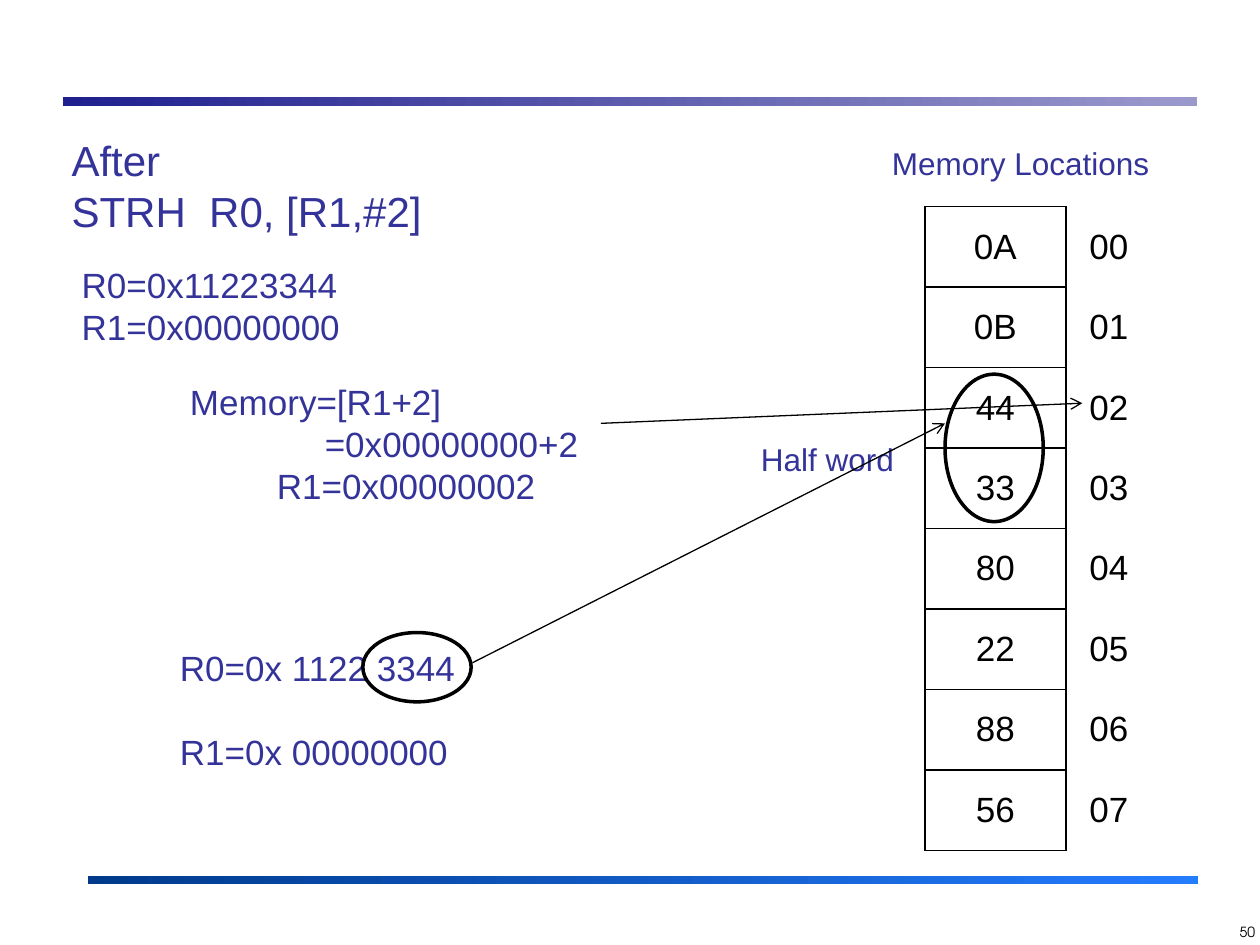
from dataclasses import dataclass

from lxml import etree
from pptx import Presentation
from pptx import util as u
from pptx.dml.color import RGBColor
from pptx.enum import shapes, text
from pptx.oxml import ns

BLACK = RGBColor(0x00, 0x00, 0x00)
INDIGO = RGBColor(0x33, 0x33, 0x99)
NAVY = RGBColor(0x1F, 0x1F, 0x8F)
LAVENDER = RGBColor(0x9B, 0x99, 0xCC)
DEEP_BLUE = RGBColor(0x00, 0x3A, 0x8C)
BRIGHT_BLUE = RGBColor(0x24, 0x7C, 0xFF)

ALIGN = text.PP_ALIGN


@dataclass
class Line:
    words: str
    indent: float = 0
    space_before: float = 0


@dataclass
class Label:
    box: tuple[float, float, float, float]
    lines: list[Line]
    size: float = 20
    align: ALIGN = ALIGN.LEFT
    font: str = "Arial"
    color: RGBColor = INDIGO


@dataclass
class Bar:
    box: tuple[float, float, float, float]
    start: RGBColor
    end: RGBColor


@dataclass
class Arrow:
    start: tuple[float, float]
    end: tuple[float, float]


BARS = [
    Bar((0.5, 0.77, 9, 0.07), NAVY, LAVENDER),
    Bar((0.7, 6.95, 8.81, 0.07), DEEP_BLUE, BRIGHT_BLUE),
]
LABELS = [
    Label((9.62, 7.28, 0.44, 0.31), [Line("50")], 8, ALIGN.RIGHT,
          "TeX Gyre Adventor", BLACK),
    Label((0.47, 1.02, 6.64, 0.91), [Line("After"), Line("STRH  R0, [R1,#2]")], 24),
    Label((5.86, 1.09, 3.36, 0.4), [Line("Memory Locations")], 18, ALIGN.RIGHT),
    Label((0.55, 2.04, 2.27, 0.77), [Line("R0=0x11223344"), Line("R1=0x00000000")]),
    Label((1.41, 2.97, 3.36, 1.11), [
        Line("Memory=[R1+2]"),
        Line("=0x00000000+2", indent=1.07),
        Line("R1=0x00000002", indent=0.69),
    ]),
    Label((1.33, 5.08, 4.53, 1.11), [
        Line("R0=0x 1122 3344"),
        Line("R1=0x 00000000", space_before=24),
    ]),
    Label((5.94, 3.44, 1.41, 0.4), [Line("Half word")], 18),
]
MEMORY = ["0A", "0B", "44", "33", "80", "22", "88", "56"]
ELLIPSES = [(7.5, 2.97, 0.78, 1.17), (2.88, 5.02, 0.86, 0.55)]
ARROWS = [Arrow((4.77, 3.36), (8.59, 3.2)), Arrow((3.75, 5.26), (7.5, 3.36))]


def inches(values) -> list[u.Length]:
    return [u.Inches(v) for v in values]


def add_run(p, words: str, size: float, font: str, color: RGBColor) -> None:
    r = p.add_run()
    r.text = words
    r.font.size = u.Pt(size)
    r.font.name = font
    r.font.color.rgb = color


def add_bar(s, bar: Bar) -> None:
    sp = s.shapes.add_shape(shapes.MSO_SHAPE.RECTANGLE, *inches(bar.box))
    sp.shadow.inherit = False
    sp.line.fill.background()
    sp.fill.gradient()
    sp.fill.gradient_angle = 0
    for stop, color in zip(sp.fill.gradient_stops, (bar.start, bar.end)):
        stop.color.rgb = color


def add_label(s, label: Label) -> None:
    tf = s.shapes.add_textbox(*inches(label.box)).text_frame
    tf.word_wrap = True
    for i, line in enumerate(label.lines):
        p = tf.add_paragraph() if i else tf.paragraphs[0]
        p.alignment = label.align
        if line.indent:
            p._p.get_or_add_pPr().set("marL", str(u.Inches(line.indent)))
        if line.space_before:
            p.space_before = u.Pt(line.space_before)
        add_run(p, line.words, label.size, label.font, label.color)


def set_borders(cell, visible: str) -> None:
    """Draw the sides named in visible (of L, R, T, B) and clear the others."""
    tc_pr = cell._tc.get_or_add_tcPr()
    for side in "LRTB":
        ln = etree.SubElement(tc_pr, ns.qn(f"a:ln{side}"), w=str(u.Pt(1)))
        if side in visible:
            fill = etree.SubElement(ln, ns.qn("a:solidFill"))
            etree.SubElement(fill, ns.qn("a:srgbClr"), val=str(BLACK))
        else:
            etree.SubElement(ln, ns.qn("a:noFill"))


def add_memory_table(s, values: list[str]) -> None:
    frame = s.shapes.add_table(len(values), 2, *inches((7.34, 1.64, 1.8, 5.11)))
    table = frame.table
    table.first_row = table.horz_banding = False
    for column, width in zip(table.columns, (1.12, 0.68)):
        column.width = u.Inches(width)
    for row, value in enumerate(values):
        for col, (words, sides) in enumerate([(value, "LRTB"), (f"{row:02}", "L")]):
            cell = table.cell(row, col)
            set_borders(cell, sides)
            cell.fill.background()
            cell.vertical_anchor = text.MSO_ANCHOR.MIDDLE
            p = cell.text_frame.paragraphs[0]
            p.alignment = ALIGN.CENTER
            add_run(p, words, 20, "Arial", BLACK)


def add_ellipse(s, box: tuple[float, float, float, float]) -> None:
    sp = s.shapes.add_shape(shapes.MSO_SHAPE.OVAL, *inches(box))
    sp.shadow.inherit = False
    sp.fill.background()
    sp.line.color.rgb = BLACK
    sp.line.width = u.Pt(2)


def add_arrow(s, arrow: Arrow) -> None:
    sp = s.shapes.add_connector(
        shapes.MSO_CONNECTOR.STRAIGHT, *inches(arrow.start + arrow.end))
    sp.line.color.rgb = BLACK
    sp.line.width = u.Pt(0.75)
    etree.SubElement(sp.line._get_or_add_ln(), ns.qn("a:tailEnd"), type="arrow")
    etree.SubElement(sp._element.spPr, ns.qn("a:effectLst"))


def main() -> None:
    prs = Presentation()
    prs.slide_width, prs.slide_height = inches((10, 7.5))
    s = prs.slides.add_slide(prs.slide_layouts[6])

    # Rules at the top and bottom
    for bar in BARS:
        add_bar(s, bar)

    # Memory cells with their addresses
    add_memory_table(s, MEMORY)

    # Register contents and captions
    for label in LABELS:
        add_label(s, label)

    # Highlighted half word and where it is stored
    for box in ELLIPSES:
        add_ellipse(s, box)
    for arrow in ARROWS:
        add_arrow(s, arrow)

    prs.save("out.pptx")


if __name__ == "__main__":
    main()
